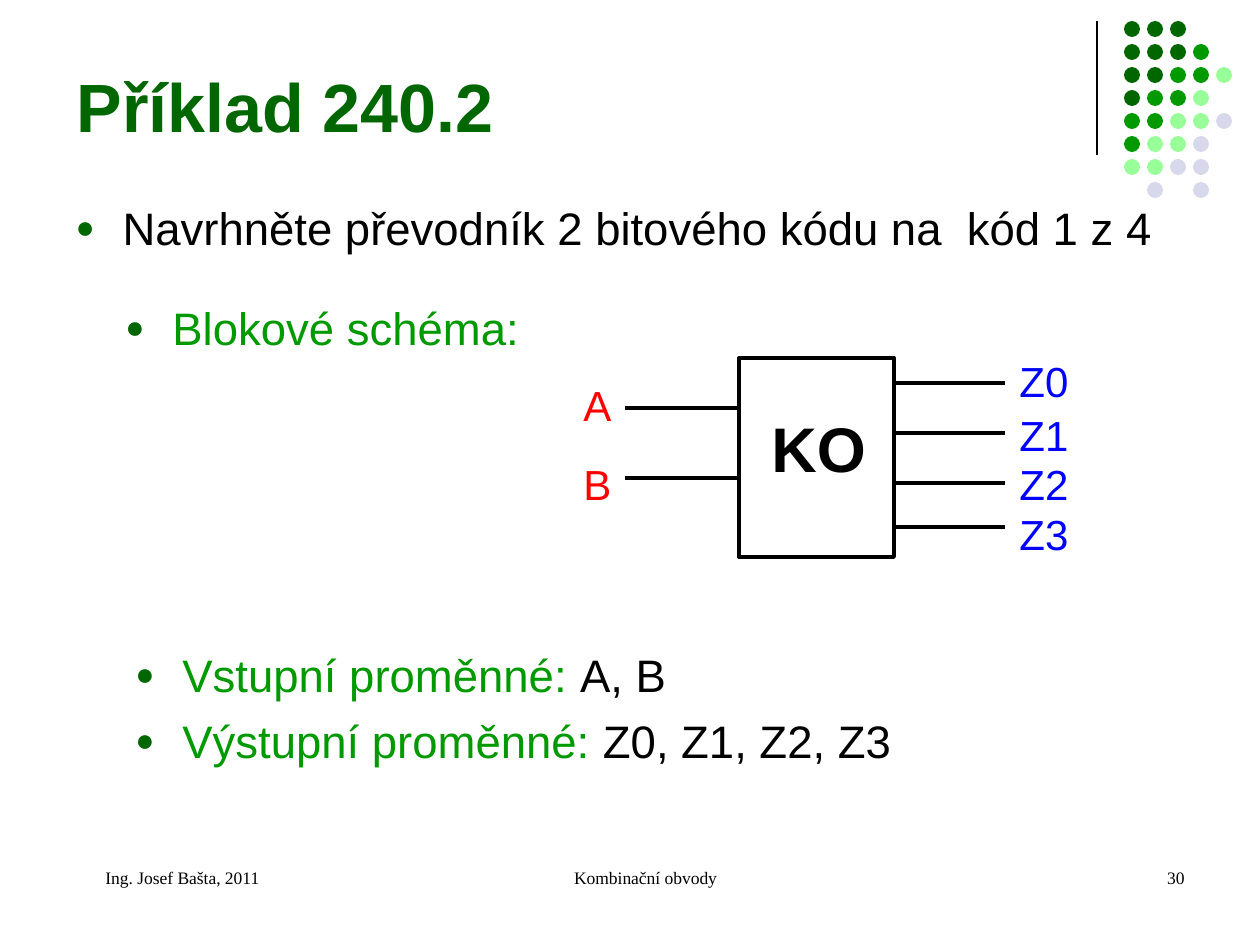
from lxml import etree
from pptx import Presentation
from pptx import util as u
from pptx.dml.color import RGBColor
from pptx.enum import shapes, text
from pptx.oxml.ns import qn

PX = 914400 / 126
BLACK = RGBColor(0x00, 0x00, 0x00)
RED = RGBColor(0xFF, 0x00, 0x00)
BLUE = RGBColor(0x00, 0x00, 0xFF)
DARK = RGBColor(0x00, 0x66, 0x00)
GREEN = RGBColor(0x00, 0x99, 0x00)
LIGHT = RGBColor(0x99, 0xFF, 0x99)
LILAC = RGBColor(0xD8, 0xD8, 0xEC)

DOT_COLORS = {"D": DARK, "G": GREEN, "L": LIGHT, "P": LILAC}
DOT_ROWS = ["DDD", "DDDG", "DDGGL", "DGGL", "GGLLP", "GLLP", "LLPP", " P P"]


def px(value):
    return u.Emu(round(value * PX))


class SlideBuilder:
    def __init__(self, page):
        self.page = page
        self.font = "Arial"

    def place(self, shape, left, top, width, height):
        shape.left, shape.top = px(left), px(top)
        shape.width, shape.height = px(width), px(height)

    def add_spans(self, para, spans, size, bold=False, font=None):
        """Fill a paragraph with (wording, colour) spans."""
        for wording, color in spans:
            span = para.add_run()
            span.text = wording
            span.font.name = font or self.font
            span.font.size = u.Pt(size)
            span.font.bold = bold
            span.font.color.rgb = color

    def frame(self, shape, anchor=text.MSO_ANCHOR.TOP):
        frame = shape.text_frame
        frame.word_wrap = True
        frame.auto_size = text.MSO_AUTO_SIZE.NONE
        frame.vertical_anchor = anchor
        return frame

    def title(self, wording, *area):
        shape = self.page.shapes.title
        self.place(shape, *area)
        para = self.frame(shape, text.MSO_ANCHOR.BOTTOM).paragraphs[0]
        para.alignment = text.PP_ALIGN.LEFT
        self.add_spans(para, [(wording, DARK)], 39, bold=True)

    def bullets(self, items, *area, box=None):
        """Set a bulleted list, in a new text box unless one is given."""
        box = box or self.page.shapes.add_textbox(0, 0, 0, 0)
        self.place(box, *area)
        frame = self.frame(box)
        for index, spans in enumerate(items):
            para = frame.add_paragraph() if index else frame.paragraphs[0]
            props = para._p.get_or_add_pPr()
            props.set("marL", str(px(47)))
            props.set("indent", str(px(-47)))
            color = etree.SubElement(props, qn("a:buClr"))
            etree.SubElement(color, qn("a:srgbClr"), val=str(DARK))
            etree.SubElement(props, qn("a:buSzPct"), val="70000")
            etree.SubElement(props, qn("a:buFont"), typeface=self.font)
            etree.SubElement(props, qn("a:buChar"), char="●")
            para.space_before = u.Pt(6.5 if index else 0)
            self.add_spans(para, spans, 26)

    def label(self, wording, color, size, *area, bold=False):
        box = self.page.shapes.add_textbox(0, 0, 0, 0)
        self.place(box, *area)
        self.add_spans(self.frame(box).paragraphs[0], [(wording, color)], size, bold)

    def footer(self, wording, align, left, width):
        box = self.page.shapes.add_textbox(0, 0, 0, 0)
        self.place(box, left, 861, width, 63)
        para = self.frame(box).paragraphs[0]
        para.alignment = align
        para._p.get_or_add_pPr().set("marL", str(px(30)))
        self.add_spans(para, [(wording, BLACK)], 10, font="Times New Roman")

    def shape(self, kind, *area, fill=None, line=None):
        shape = self.page.shapes.add_shape(kind, 0, 0, 0, 0)
        self.place(shape, *area)
        shape.shadow.inherit = False
        if fill is None:
            shape.fill.background()
        else:
            shape.fill.solid()
            shape.fill.fore_color.rgb = fill
        if line is None:
            shape.line.fill.background()
        else:
            shape.line.color.rgb = line
            shape.line.width = u.Pt(2.25)

    def line(self, x1, y1, x2, y2, weight=2.25):
        line = self.page.shapes.add_connector(
            shapes.MSO_CONNECTOR.STRAIGHT, px(x1), px(y1), px(x2), px(y2))
        line.line.color.rgb = BLACK
        line.line.width = u.Pt(weight)
        etree.SubElement(line._element.spPr, qn("a:effectLst"))

    def dots(self, left, top, pitch, size):
        for row, codes in enumerate(DOT_ROWS):
            for column, code in enumerate(codes):
                if code in DOT_COLORS:
                    self.shape(shapes.MSO_SHAPE.OVAL, left + column * pitch,
                               top + row * pitch, size, size,
                               fill=DOT_COLORS[code])


def main():
    deck = Presentation()
    deck.slide_width, deck.slide_height = px(1260), px(945)
    page = deck.slides.add_slide(deck.slide_layouts[1])
    builder = SlideBuilder(page)

    builder.line(1097, 21, 1097, 155, weight=0.75)
    builder.dots(1124, 21, 23, 16)
    builder.title("Příklad 240.2", 64, 45, 1040, 108)
    builder.bullets([[("Navrhněte převodník 2 bitového kódu na  kód 1 z 4", BLACK)]],
                    63, 194, 1134, 84, box=page.placeholders[1])

    builder.shape(shapes.MSO_SHAPE.RECTANGLE, 739, 358, 155, 199, line=BLACK)
    builder.label("KO", BLACK, 36, 759, 403, 123, 88, bold=True)
    for name, wire, top in [("A", 408, 373), ("B", 478, 452)]:
        builder.line(625, wire, 738, wire)
        builder.label(name, RED, 24, 571, top, 43, 63)
    for name, wire, top in [("Z0", 383, 349), ("Z1", 433, 403),
                            ("Z2", 483, 452), ("Z3", 527, 502)]:
        builder.line(894, wire, 1005, wire)
        builder.label(name, BLUE, 24, 1007, top, 79, 63)

    builder.bullets([[("Blokové schéma:", GREEN)]], 113, 294, 446, 68)
    builder.bullets([
        [("Vstupní proměnné: ", GREEN), ("A, B", BLACK)],
        [("Výstupní proměnné: ", GREEN), ("Z0, Z1, Z2, Z3", BLACK)],
    ], 123, 641, 814, 134)

    builder.footer("Ing. Josef Bašta, 2011", text.PP_ALIGN.LEFT, 63, 294)
    builder.footer("Kombinační obvody", text.PP_ALIGN.CENTER, 431, 399)
    builder.footer("30", text.PP_ALIGN.RIGHT, 903, 294)

    deck.save("out.pptx")


if __name__ == "__main__":
    main()
